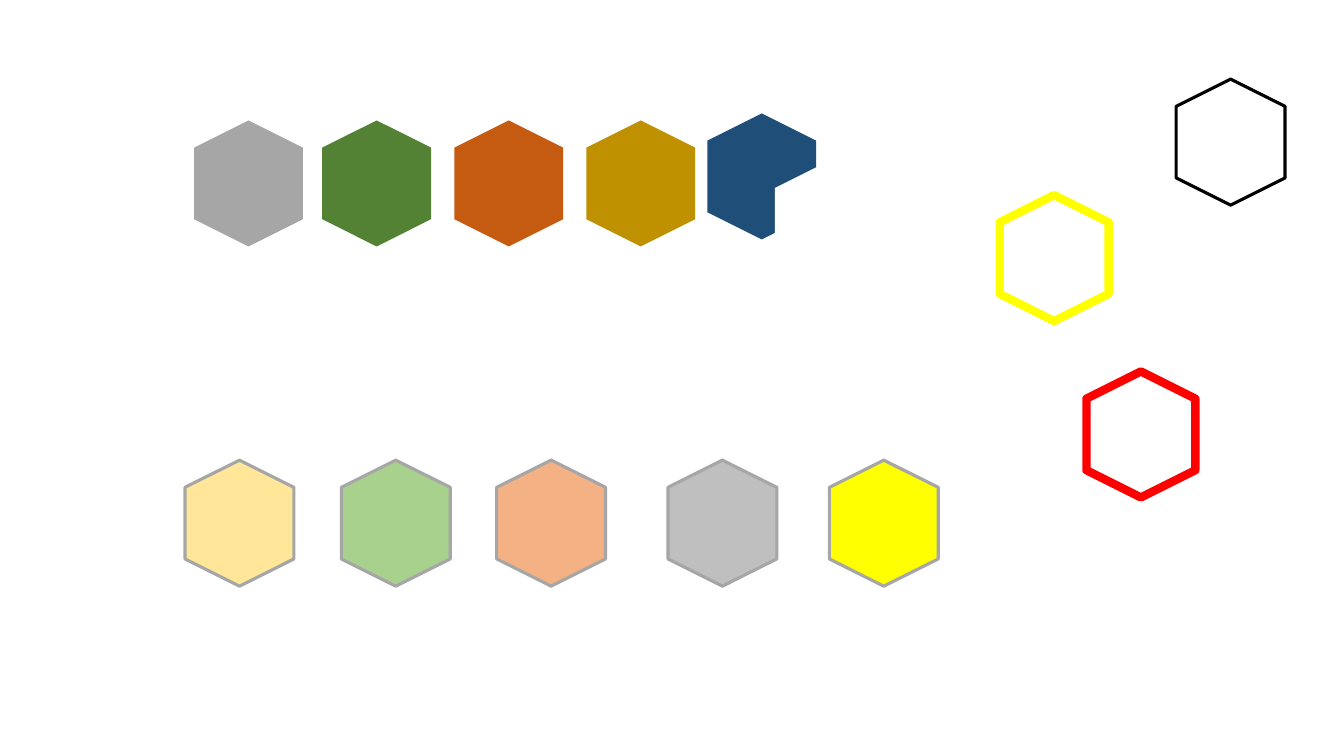
from pptx import Presentation
from pptx.dml.color import RGBColor
from pptx.enum.shapes import MSO_SHAPE
from pptx.util import Inches, Pt

HEXAGON = MSO_SHAPE.HEXAGON

WHITE = RGBColor(0xFF, 0xFF, 0xFF)
BLACK = RGBColor(0x00, 0x00, 0x00)
RED = RGBColor(0xFF, 0x00, 0x00)
YELLOW = RGBColor(0xFF, 0xFF, 0x00)
GRAY = RGBColor(0xA6, 0xA6, 0xA6)
LIGHT_GRAY = RGBColor(0xBF, 0xBF, 0xBF)
GREEN = RGBColor(0x54, 0x82, 0x35)
LIGHT_GREEN = RGBColor(0xA9, 0xD1, 0x8E)
ORANGE = RGBColor(0xC5, 0x5A, 0x11)
LIGHT_ORANGE = RGBColor(0xF4, 0xB1, 0x83)
GOLD = RGBColor(0xBF, 0x90, 0x00)
LIGHT_GOLD = RGBColor(0xFF, 0xE6, 0x99)
BLUE = RGBColor(0x1F, 0x4E, 0x79)

# Size before the quarter turn that points each hexagon upwards
HEXAGON_WIDTH, HEXAGON_HEIGHT = 1.25, 1.08

# Offsets from the left and top of each region, in inches
PALE_TILES = [(0, LIGHT_GOLD), (1.55, LIGHT_GREEN), (3.09, LIGHT_ORANGE),
              (4.79, LIGHT_GRAY), (6.39, YELLOW)]
DARK_TILES = [(0, 0.07, GRAY), (1.27, 0.07, GREEN), (2.58, 0.07, ORANGE),
              (3.89, 0.07, GOLD), (5.09, 0, BLUE), (5.76, 0.47, WHITE)]
OUTLINES = [(0, 1.15, YELLOW, 6), (1.75, 0, BLACK, 2.25), (0.86, 2.9, RED, 6)]


def add_hexagon(slide, left, top, fill=None, line=None, line_width=2.25):
    """Add a pointed-top hexagon; a missing fill or line stays empty."""
    hexagon = slide.shapes.add_shape(
        HEXAGON, Inches(left), Inches(top),
        Inches(HEXAGON_WIDTH), Inches(HEXAGON_HEIGHT))
    hexagon.rotation = 90
    hexagon.shadow.inherit = False
    for paint, color in ((hexagon.fill, fill), (hexagon.line.fill, line)):
        if color is None:
            paint.background()
        else:
            paint.solid()
            paint.fore_color.rgb = color
    if line is not None:
        hexagon.line.width = Pt(line_width)


def add_pale_row(slide, left, top):
    for offset, color in PALE_TILES:
        add_hexagon(slide, left + offset, top, fill=color, line=GRAY)


def add_dark_row(slide, left, top):
    """Add the dark tiles, the last one cut by a white hexagon."""
    for across, down, color in DARK_TILES:
        add_hexagon(slide, left + across, top + down, fill=color)


def add_outline_group(slide, left, top):
    for across, down, color, width in OUTLINES:
        add_hexagon(slide, left + across, top + down,
                    line=color, line_width=width)


def main():
    deck = Presentation()
    deck.slide_width, deck.slide_height = Inches(13.33), Inches(7.5)
    slide = deck.slides.add_slide(deck.slide_layouts[6])
    add_pale_row(slide, 1.75, 4.65)
    add_dark_row(slide, 1.84, 1.21)
    add_outline_group(slide, 9.83, 0.87)
    deck.save("out.pptx")


if __name__ == "__main__":
    main()
